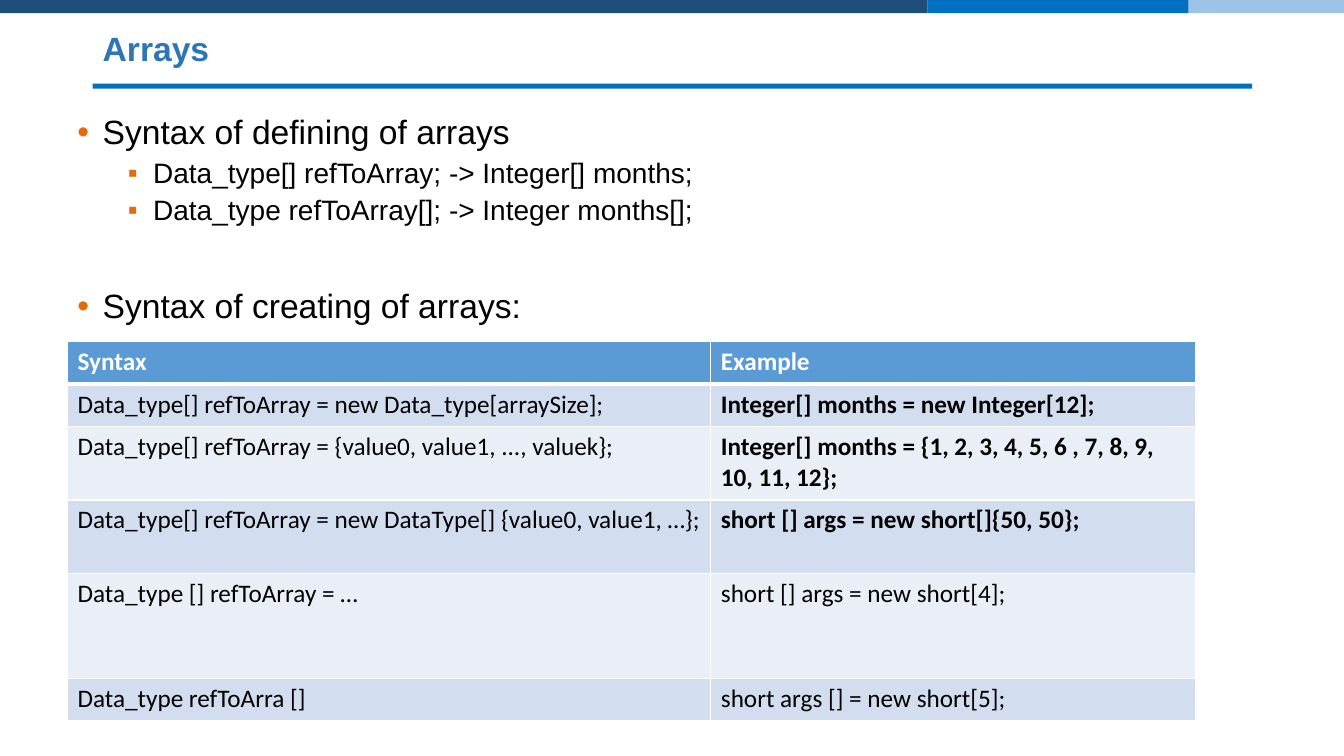
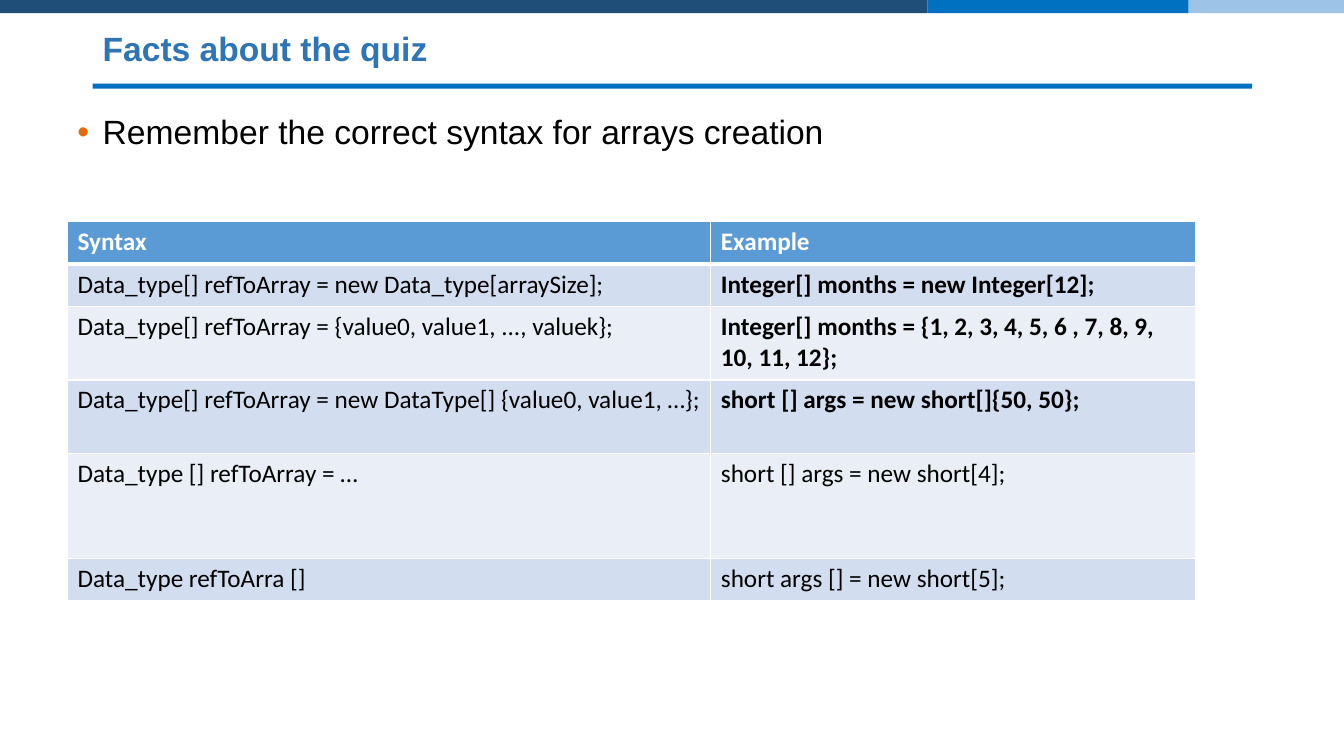
"""Build two slides on array syntax: bulleted notes above a syntax table."""
from lxml import etree
from pptx import Presentation
from pptx.dml.color import RGBColor
from pptx.enum.shapes import MSO_SHAPE
from pptx.enum.text import MSO_ANCHOR
from pptx.oxml.ns import qn
from pptx.util import Inches, Pt

RECT = MSO_SHAPE.RECTANGLE
MIDDLE = MSO_ANCHOR.MIDDLE

NAVY, BLUE, PALE_BLUE = "1F4E79", "0070C0", "9DC3E6"
TITLE_BLUE, ORANGE = "2E75B6", "E36C09"
BLACK, WHITE = "000000", "FFFFFF"
HEADER_FILL, ROW_FILLS = "5B9BD5", ("D2DEEF", "EAEFF7")

BANDS = [
    (0, 0, 9.2, 0.13, NAVY),
    (9.2, 0, 2.59, 0.13, BLUE),
    (11.79, 0, 1.54, 0.13, PALE_BLUE),
    (0.92, 0.83, 11.5, 0.05, BLUE),
]
BULLETS = [("•", 24, 0.25, 10), ("▪", 20, 0.75, 5)]
BLANK_LINE_GAP = 45

COL_WIDTHS = (6.38, 4.81)
ROW_HEIGHTS = (0.42, 0.42, 0.73, 0.73, 1.04, 0.42)
SYNTAX_ROWS = [
    ("Syntax", "Example"),
    ("Data_type[] refToArray = new Data_type[arraySize];",
     "Integer[] months = new Integer[12];"),
    ("Data_type[] refToArray = {value0, value1, ..., valuek};",
     "Integer[] months = {1, 2, 3, 4, 5, 6 , 7, 8, 9, 10, 11, 12};"),
    ("Data_type[] refToArray = new DataType[] {value0, value1, …};",
     "short [] args = new short[]{50, 50};"),
    ("Data_type [] refToArray = …", "short [] args = new short[4];"),
    ("Data_type refToArra []", "short args [] = new short[5];"),
]
BOLD_EXAMPLE_ROWS = (1, 2, 3)

SLIDES = [
    ("Arrays", 3.39, [
        ("Syntax of defining of arrays", 0, None),
        ("Data_type[] refToArray; -> Integer[] months;", 1, None),
        ("Data_type refToArray[]; -> Integer months[];", 1, None),
        ("Syntax of creating of arrays:", 0, BLANK_LINE_GAP),
    ]),
    ("Facts about the quiz", 2.2, [
        ("Remember the correct syntax for arrays creation", 0, None),
    ]),
]


def rgb(color):
    """Return the colour for a hex string."""
    return RGBColor.from_string(color)


def style(p, font, size, color, bold=False):
    """Format every run of a paragraph."""
    for r in p.runs:
        r.font.name = font
        r.font.size = Pt(size)
        r.font.bold = bold
        r.font.color.rgb = rgb(color)


def add_band(s, x, y, w, h, color):
    """Add a plain filled rectangle."""
    sp = s.shapes.add_shape(RECT, Inches(x), Inches(y), Inches(w), Inches(h))
    sp.shadow.inherit = False
    sp.fill.solid()
    sp.fill.fore_color.rgb = rgb(color)
    sp.line.fill.background()


def add_text_frame(s, x, y, w, h):
    """Add a wrapping text box and return its text frame."""
    tf = s.shapes.add_textbox(Inches(x), Inches(y), Inches(w), Inches(h)).text_frame
    tf.word_wrap = True
    return tf


def add_title(s, text):
    """Add the slide title."""
    tf = add_text_frame(s, 0.92, 0.24, 11.5, 0.52)
    tf.vertical_anchor = MIDDLE
    tf.text = text
    p = tf.paragraphs[0]
    p.line_spacing = 0.9
    style(p, "Arial", 24, TITLE_BLUE, True)


def set_bullet(p, char, indent):
    """Give a paragraph an orange bullet and a hanging indent."""
    pPr = p._p.get_or_add_pPr()
    pPr.set("marL", str(Inches(indent)))
    pPr.set("indent", str(Inches(-0.25)))
    clr = etree.SubElement(pPr, qn("a:buClr"))
    etree.SubElement(clr, qn("a:srgbClr"), val=ORANGE)
    etree.SubElement(pPr, qn("a:buFont"), typeface="Arial")
    etree.SubElement(pPr, qn("a:buChar"), char=char)


def add_bullets(s, items):
    """Add the bulleted body text."""
    tf = add_text_frame(s, 0.67, 1.1, 11.75, 5.65)
    for i, (text, level, gap) in enumerate(items):
        char, size, indent, space = BULLETS[level]
        p = tf.add_paragraph() if i else tf.paragraphs[0]
        p.text = text
        p.level = level
        set_bullet(p, char, indent)
        p.line_spacing = 0.9
        if i:
            p.space_before = Pt(gap or space)
        style(p, "Arial", size, BLACK)


def set_borders(cell, top, bottom):
    """Draw white borders around a cell, with widths in points."""
    tcPr = cell._tc.get_or_add_tcPr()
    for side, width in (("L", 1), ("R", 1), ("T", top), ("B", bottom)):
        ln = etree.SubElement(tcPr, qn(f"a:ln{side}"), w=str(Pt(width)))
        fill = etree.SubElement(ln, qn("a:solidFill"))
        etree.SubElement(fill, qn("a:srgbClr"), val=WHITE)


def add_syntax_table(s, y):
    """Add the table of array syntax and examples."""
    table = s.shapes.add_table(
        len(ROW_HEIGHTS), len(COL_WIDTHS), Inches(0.67), Inches(y),
        Inches(sum(COL_WIDTHS)), Inches(sum(ROW_HEIGHTS))).table
    table.horz_banding = False
    for col, width in zip(table.columns, COL_WIDTHS):
        col.width = Inches(width)
    for i, (height, texts) in enumerate(zip(ROW_HEIGHTS, SYNTAX_ROWS)):
        table.rows[i].height = Inches(height)
        header = i == 0
        for j, text in enumerate(texts):
            cell = table.cell(i, j)
            set_borders(cell, 3 if i == 1 else 1, 3 if header else 1)
            cell.fill.solid()
            cell.fill.fore_color.rgb = rgb(HEADER_FILL if header else ROW_FILLS[(i - 1) % 2])
            cell.text = text
            bold = header or (j == 1 and i in BOLD_EXAMPLE_ROWS)
            style(cell.text_frame.paragraphs[0], "Calibri", 18,
                  WHITE if header else BLACK, bold)


def main():
    """Build and save the presentation."""
    prs = Presentation()
    prs.slide_width, prs.slide_height = Inches(13.33), Inches(7.5)
    for title, table_top, items in SLIDES:
        s = prs.slides.add_slide(prs.slide_layouts[6])
        for band in BANDS:
            add_band(s, *band)
        add_title(s, title)
        add_bullets(s, items)
        add_syntax_table(s, table_top)
    prs.save("out.pptx")


if __name__ == "__main__":
    main()
